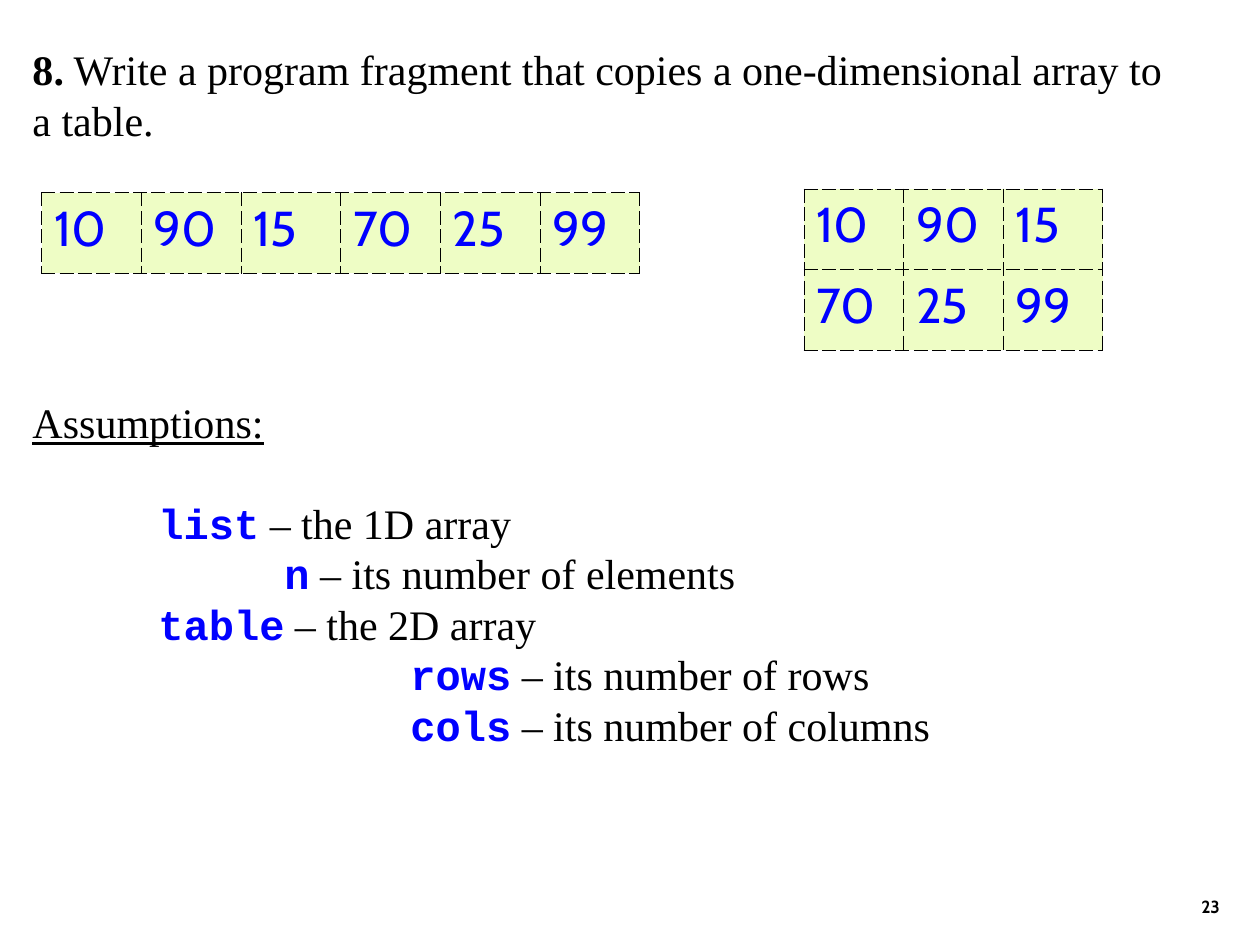
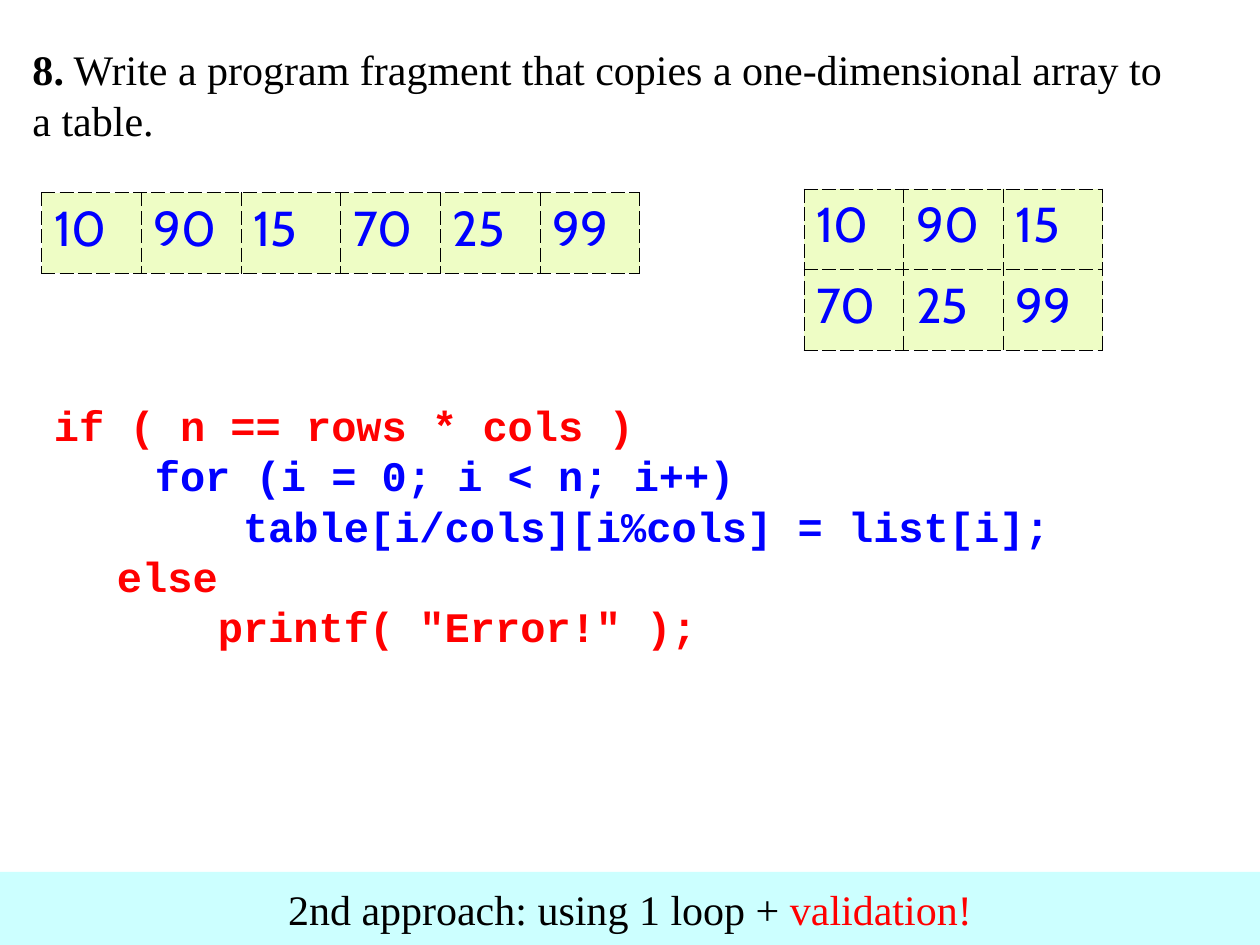
from lxml import etree
from pptx import Presentation
from pptx.dml.color import RGBColor
from pptx.enum.shapes import MSO_SHAPE
from pptx.enum.text import MSO_ANCHOR, PP_ALIGN
from pptx.oxml.ns import qn
from pptx.util import Inches, Pt

RECT = MSO_SHAPE.RECTANGLE
TOP, MIDDLE, BOTTOM = MSO_ANCHOR.TOP, MSO_ANCHOR.MIDDLE, MSO_ANCHOR.BOTTOM
LEFT, CENTER, RIGHT = PP_ALIGN.LEFT, PP_ALIGN.CENTER, PP_ALIGN.RIGHT

BLACK, BLUE, RED = "000000", "0000FF", "FF0000"
LIME, AQUA = "EEFDC5", "CCFFFF"
SERIF, MONO, SANS = "Times New Roman", "Courier New", "Cabin"
COLS, ROWS = 100, 75
LINE = 28.8
VALUES = ["10", "90", "15", "70", "25", "99"]


def color(code):
    """Turn a hex string into a colour."""
    return RGBColor.from_string(code)


def style(font, face=SERIF, size=24, ink=BLACK, bold=False):
    """Set the look of a font."""
    font.name, font.size, font.bold = face, Pt(size), bold
    font.color.rgb = color(ink)


def line(*runs, indent=0, before=0, align=LEFT, **look):
    """Describe a paragraph whose runs are (text, changes) pairs."""
    return runs, indent, before, align, look


class Deck:
    """Hold the shared style and the current slide."""

    def __init__(self):
        """Start an empty deck with a grid of columns and rows."""
        self.file = Presentation()
        self.file.slide_width, self.file.slide_height = Inches(10), Inches(7.5)
        self.slide = None

    def new(self):
        """Begin a blank slide."""
        self.slide = self.file.slides.add_slide(self.file.slide_layouts[6])

    def place(self, x, y, w, h):
        """Turn columns and rows into lengths."""
        col, row = self.file.slide_width / COLS, self.file.slide_height / ROWS
        return [round(n) for n in (x * col, y * row, w * col, h * row)]

    def fill(self, frame, lines, anchor):
        """Fill a text frame with lines."""
        frame.word_wrap, frame.vertical_anchor = True, anchor
        for i, (runs, indent, before, align, look) in enumerate(lines):
            para = frame.add_paragraph() if i else frame.paragraphs[0]
            para.alignment = align
            if look.get("size", 24) == 24:
                para.line_spacing = Pt(LINE)
            if before:
                para.space_before = Pt(before)
            if indent:
                props = para._p.get_or_add_pPr()
                props.set("marL", str(Inches(indent)))
                props.set("indent", "0")
            style(para.font, **look)
            for text, change in runs:
                run = para.add_run()
                run.text = text
                if change:
                    style(run.font, **{**look, **change})

    def text(self, box, lines, anchor=TOP):
        """Add a text box."""
        shape = self.slide.shapes.add_textbox(*self.place(*box))
        self.fill(shape.text_frame, lines, anchor)

    def band(self, box, tint, lines):
        """Add a filled band with text."""
        shape = self.slide.shapes.add_shape(RECT, *self.place(*box))
        shape.shadow.inherit = False
        shape.fill.solid()
        shape.fill.fore_color.rgb = color(tint)
        shape.line.fill.background()
        self.fill(shape.text_frame, lines, MIDDLE)

    def edge(self, cell):
        """Draw dashed borders round a cell."""
        props = cell._tc.get_or_add_tcPr()
        for side in ("lnL", "lnR", "lnT", "lnB"):
            rule = etree.SubElement(props, qn("a:" + side), w=str(Pt(0.45)))
            tint = etree.SubElement(rule, qn("a:solidFill"))
            etree.SubElement(tint, qn("a:srgbClr"), val=BLACK)
            etree.SubElement(rule, qn("a:prstDash"), val="dash")

    def table(self, x, y, wide):
        """Lay out the values in a table of the given number of columns."""
        high = len(VALUES) // wide
        box = self.place(x, y, 7.91 * wide, 6.4 * high)
        table = self.slide.shapes.add_table(high, wide, *box).table
        table.first_row = table.horz_banding = False
        for cell, value in zip(table.iter_cells(), VALUES):
            self.edge(cell)
            cell.fill.solid()
            cell.fill.fore_color.rgb = color(LIME)
            cell.text = value
            style(cell.text_frame.paragraphs[0].font, SANS, 28, BLUE)

    def task(self, height, *more):
        """Add the task text, any further lines and both tables."""
        lines = [
            line(("8.", {"bold": True}),
                 (" Write a program fragment that copies a one-dimensional array to", {})),
            line(("a table.", {})),
        ]
        self.text((1.6, 3, 92.7, height), [*lines, *more])
        self.table(3.3, 15.3, 6)
        self.table(63.8, 15, 3)


def given():
    """Describe the lines that list the assumptions."""
    terms = [
        ("list", "the 1D array", 1),
        ("n", "its number of elements", 2),
        ("table", "the 2D array", 1),
        ("rows", "its number of rows", 3),
        ("cols", "its number of columns", 3),
    ]
    code = {"face": MONO, "ink": BLUE, "bold": True}
    return [line((name, code), (f" – {role}", {}), indent=indent,
                 before=0 if i else LINE)
            for i, (name, role, indent) in enumerate(terms)]


def main():
    """Build both slides."""
    deck = Deck()

    deck.new()
    head = line(("Assumptions:", {}), before=5 * LINE)
    deck.task(61, head, *given())
    frame = deck.slide.shapes[0].text_frame
    frame.paragraphs[2].font.underline = True
    deck.text((77, 68.3, 20.8, 5),
              [line(("23", {}), align=RIGHT, face=SANS, size=10, bold=True)], BOTTOM)

    deck.new()
    deck.task(9)
    code = [
        ("if ( n == rows * cols )", RED, 0),
        ("    for (i = 0; i < n; i++)", BLUE, 0),
        ("     table[i/cols][i%cols] = list[i];", BLUE, 0.5),
        ("else", RED, 0.5),
        ("    printf( \"Error!\" );", RED, 0.5),
    ]
    deck.text((3.3, 27.5, 84.2, 28.4),
              [line((text, {}), indent=indent, face=MONO, ink=ink, bold=True)
               for text, ink, indent in code], MIDDLE)
    deck.band((0, 69.2, 100, 5.8), AQUA,
              [line(("2nd approach: using 1 loop +", {}),
                    (" validation!", {"ink": RED}), align=CENTER)])

    deck.file.save("out.pptx")


if __name__ == "__main__":
    main()
